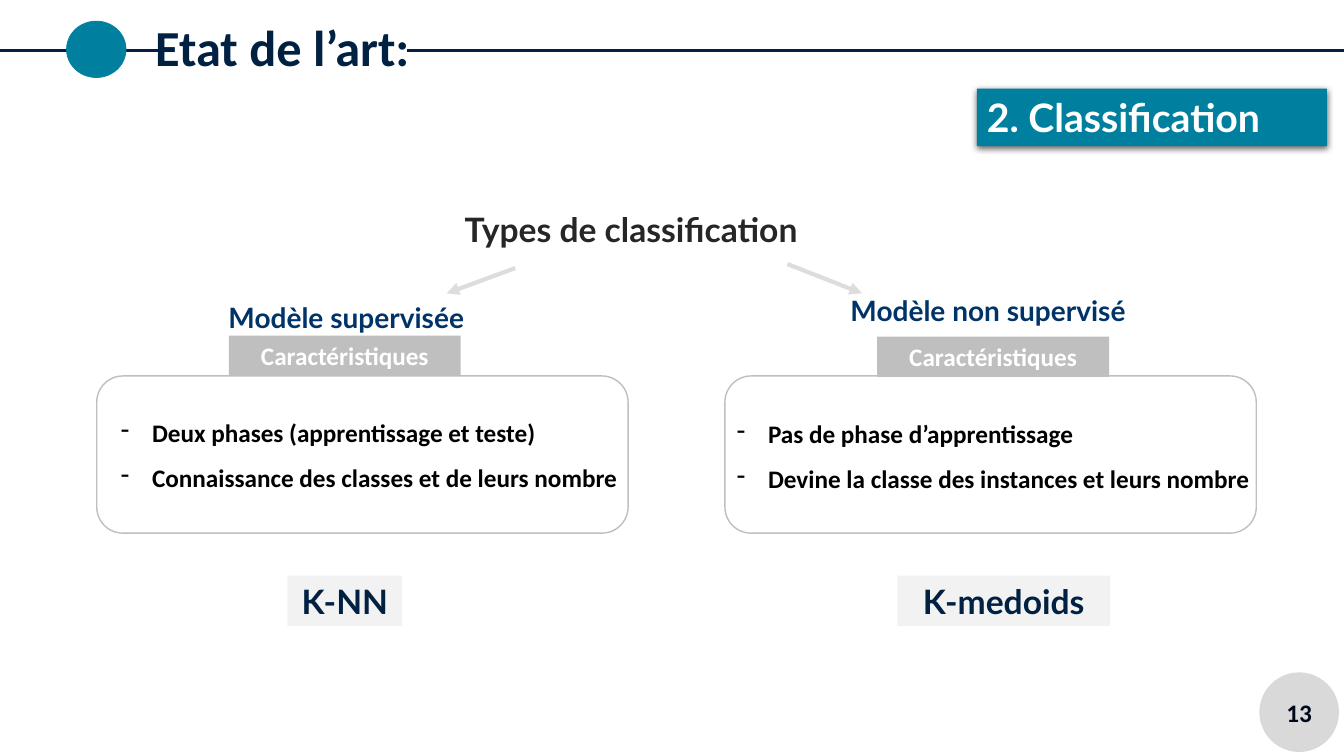
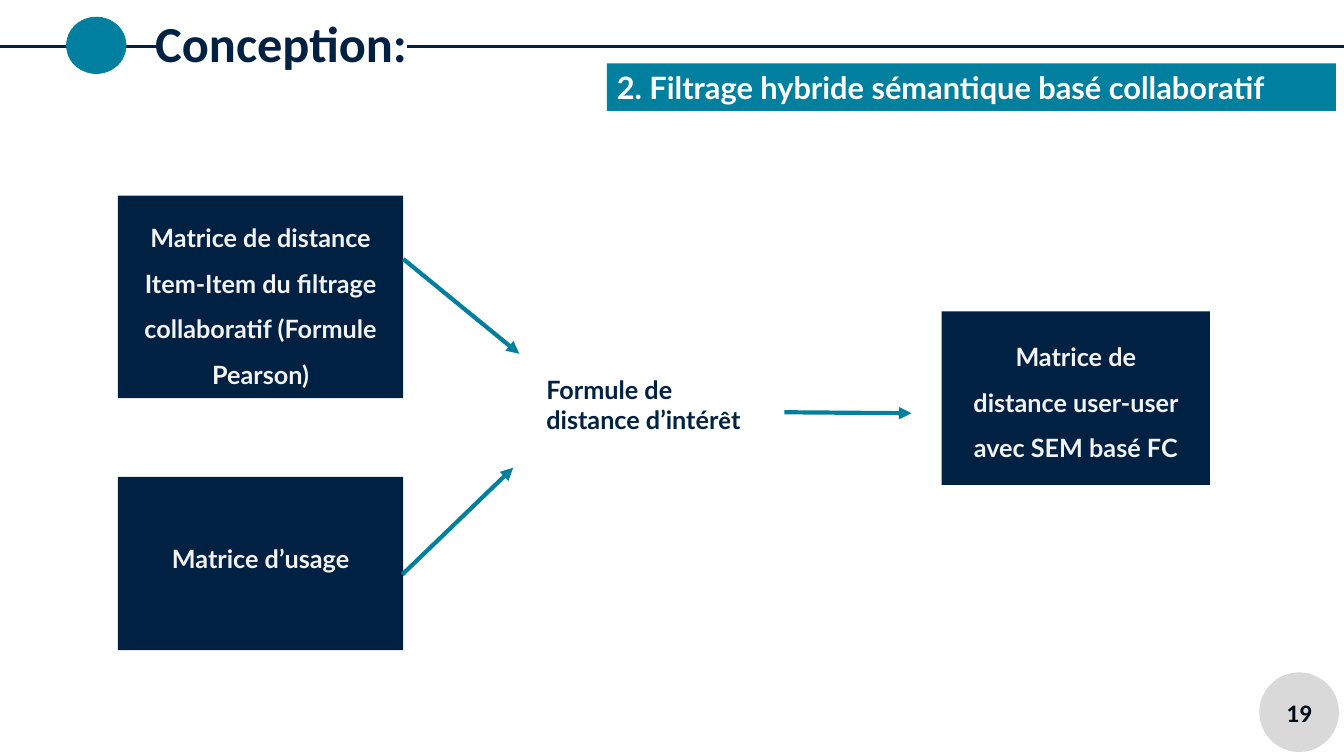
from dataclasses import dataclass

from lxml import etree
from pptx import Presentation
from pptx.dml.color import RGBColor
from pptx.enum import shapes, text
from pptx.oxml import ns
from pptx.util import Inches, Pt


@dataclass(frozen=True)
class Theme:
    navy: str = "002142"
    blue: str = "003468"
    teal: str = "00809E"
    white: str = "FFFFFF"
    pale: str = "F2F2F2"
    arrow: str = "DDDDDD"
    silver: str = "D9D9D9"
    gray: str = "BFBFBF"
    dark: str = "262626"
    ink: str = "00091A"
    black: str = "000000"
    body: str = "Calibri"
    display: str = "Lato"
    title: int = 36
    heading: int = 24
    label: int = 20
    normal: int = 18


THEME = Theme()
SHAPE = shapes.MSO_SHAPE
LEFT, CENTER = text.PP_ALIGN.LEFT, text.PP_ALIGN.CENTER
TOP, MIDDLE, BOTTOM = (text.MSO_ANCHOR.TOP, text.MSO_ANCHOR.MIDDLE,
                       text.MSO_ANCHOR.BOTTOM)

# Content: boxes are left, top, width, height in inches
CLASSIFICATION = {
    "title": "Etat de l’art:", "line_y": 0.5, "number": "13",
    "banner": "2. Classification", "banner_at": (9.69, 0.88, 3.47, 0.57),
    "banner_size": 28, "banner_shadow": True,
}
TYPES_HEADING = ("Types de classification", (4.51, 2.02, 3.8, 0.5))
MODELS = [
    {"name": "Modèle supervisée", "name_at": (1.83, 2.77, 3.21, 0.54),
     "name_spacing": 1.5, "tab_at": (2.27, 3.33), "card_left": 0.96,
     "traits": ["Deux phases (apprentissage et teste)",
                "Connaissance des classes et de leurs nombre"],
     "traits_at": (1.1, 3.94, 5.14, 1.41),
     "example": "K-NN", "example_at": (2.85, 5.71, 1.14, 0.5),
     "arrow": ((5.11, 2.66), (4.43, 2.91))},
    {"name": "Modèle non supervisé", "name_at": (7.79, 2.86, 4.02, 0.74),
     "name_spacing": 1, "tab_at": (8.7, 3.34), "card_left": 7.19,
     "traits": ["Pas de phase d’apprentissage",
                "Devine la classe des instances et leurs nombre"],
     "traits_at": (7.21, 3.95, 5.3, 1.41),
     "example": "K-medoids", "example_at": (8.9, 5.71, 2.11, 0.5),
     "arrow": ((7.81, 2.62), (8.55, 2.91))},
]

CONCEPTION = {
    "title": "Conception:", "line_y": 0.46, "number": "19",
    "banner": "2. Filtrage hybride sémantique basé collaboratif",
    "banner_at": (6.02, 0.63, 7.23, 0.47),
    "banner_size": 22, "banner_shadow": False,
}
# Text, box, side and top padding, line spacing
MATRICES = [
    ("Matrice de distance Item-Item du filtrage collaboratif (Formule Pearson)",
     (1.17, 1.94, 2.83, 2.01), (0.1, 0.12), 1.5),
    ("Matrice d’usage", (1.17, 4.73, 2.83, 1.72), (0.24, 0.66), 1),
    ("Matrice de distance user-user avec SEM basé FC",
     (9.34, 3.09, 2.66, 1.72), (0.24, 0.15), 1.5),
]
FORMULA = [
    "Formule de",
    (("distance d’intér", THEME.display), ("ê", THEME.body),
     ("t", THEME.display)),
]
FORMULA_AT = (5.32, 3.66, 2.49, 0.71)
FLOWS = [((4, 2.57), (5.15, 3.51)), ((3.99, 5.7), (5.09, 4.64)),
         ((7.78, 4.09), (9.04, 4.1))]


def color(value):
    return RGBColor.from_string(value)


def write(box, paragraphs, size, ink, font=THEME.display, align=LEFT,
          anchor=TOP, spacing=1, pads=(0.1, 0.05), bullet=None):
    """Fill a shape with bold paragraphs, each a string or (text, font) runs."""
    frame = box.text_frame
    frame.word_wrap = True
    frame.auto_size = text.MSO_AUTO_SIZE.NONE
    frame.vertical_anchor = anchor
    side, top = pads
    frame.margin_left = frame.margin_right = Inches(side)
    frame.margin_top = Inches(top)
    frame.margin_bottom = Inches(min(top, 0.13))
    for index, content in enumerate(paragraphs):
        para = frame.add_paragraph() if index else frame.paragraphs[0]
        para.alignment = align
        para.line_spacing = spacing
        if bullet:
            properties = para._p.get_or_add_pPr()
            hang = Inches(0.31)
            properties.set("marL", str(hang))
            properties.set("indent", str(-hang))
            etree.SubElement(properties, ns.qn("a:buChar"), char=bullet)
        runs = ((content, font),) if isinstance(content, str) else content
        for words, face in runs:
            span = para.add_run()
            span.text = words
            span.font.name = face
            span.font.size = Pt(size)
            span.font.bold = True
            span.font.color.rgb = color(ink)


def add_box(page, kind, at, fill=None, line=None, width=1):
    box = page.shapes.add_shape(kind, *map(Inches, at))
    box.shadow.inherit = False
    if fill:
        box.fill.solid()
        box.fill.fore_color.rgb = color(fill)
    else:
        box.fill.background()
    if line:
        box.line.color.rgb = color(line)
        box.line.width = Pt(width)
    else:
        box.line.fill.background()
    return box


def add_text(page, at, paragraphs, size, ink, **style):
    box = page.shapes.add_textbox(*map(Inches, at))
    write(box, paragraphs, size, ink, **style)


def add_line(page, start, end, ink, width, arrow=False):
    line = page.shapes.add_connector(
        shapes.MSO_CONNECTOR.STRAIGHT, *map(Inches, start + end))
    line.line.color.rgb = color(ink)
    line.line.width = Pt(width)
    if arrow:
        etree.SubElement(line.line._get_or_add_ln(), ns.qn("a:tailEnd"),
                         type="triangle")
    etree.SubElement(line._element.spPr, ns.qn("a:effectLst"))


def cast_shadow(box):
    effects = box._element.spPr.find(ns.qn("a:effectLst"))
    shadow = etree.SubElement(
        effects, ns.qn("a:outerShdw"), blurRad=str(Pt(4.5)), dist=str(Pt(1.5)),
        dir="5400000", algn="t", rotWithShape="0")
    tint = etree.SubElement(shadow, ns.qn("a:srgbClr"), val=THEME.black)
    etree.SubElement(tint, ns.qn("a:alpha"), val="63000")


def add_page(deck, facts):
    """Add a slide with its title line, banner and page number."""
    page = deck.slides.add_slide(deck.slide_layouts[5])
    y = facts["line_y"]

    # Title on a line with a dot
    title = page.shapes.title
    title.left, title.top, title.width, title.height = map(
        Inches, (1.41, y - 0.47, 6.06, 0.87))
    write(title, [facts["title"]], THEME.title, THEME.navy, THEME.body,
          anchor=BOTTOM, spacing=0.9, pads=(0.13, 0.13))
    for start, end in ((4.04, 13.35), (-0.01, 1.57)):
        add_line(page, (start, y), (end, y), THEME.navy, 2.25)
    add_box(page, SHAPE.OVAL, (0.66, y - 0.29, 0.59, 0.56),
            THEME.teal, THEME.teal, 0.5)

    # Section banner
    banner = add_box(page, SHAPE.RECTANGLE, facts["banner_at"], THEME.teal)
    write(banner, [facts["banner"]], facts["banner_size"], THEME.white)
    if facts["banner_shadow"]:
        cast_shadow(banner)

    # Page number
    badge = add_box(page, SHAPE.OVAL, (12.49, 6.67, 0.79, 0.79), THEME.silver)
    write(badge, [facts["number"]], THEME.normal, THEME.ink, THEME.body,
          align=CENTER, anchor=MIDDLE)
    return page


def build_classification(deck):
    page = add_page(deck, CLASSIFICATION)
    heading, heading_at = TYPES_HEADING
    add_text(page, heading_at, [heading], THEME.heading, THEME.dark)
    for model in MODELS:
        add_line(page, *model["arrow"], THEME.arrow, 3, arrow=True)
        add_text(page, model["name_at"], [model["name"]], THEME.label,
                 THEME.blue, align=CENTER, spacing=model["name_spacing"])

        # Card with its tab and list
        add_box(page, SHAPE.ROUNDED_RECTANGLE,
                (model["card_left"], 3.73, 5.27, 1.56), line=THEME.gray)
        tab = add_box(page, SHAPE.RECTANGLE, model["tab_at"] + (2.3, 0.4),
                      THEME.gray)
        write(tab, ["Caractéristiques"], THEME.normal, THEME.white,
              THEME.body, align=CENTER)
        add_text(page, model["traits_at"], model["traits"], THEME.normal,
                 THEME.black, font=THEME.body, spacing=1.5, bullet="-")

        # Example algorithm
        example = add_box(page, SHAPE.RECTANGLE, model["example_at"],
                          THEME.pale)
        write(example, [model["example"]], THEME.heading, THEME.navy,
              align=CENTER)


def build_conception(deck):
    page = add_page(deck, CONCEPTION)
    for words, at, pads, spacing in MATRICES:
        matrix = add_box(page, SHAPE.RECTANGLE, at, THEME.navy)
        write(matrix, [words], THEME.normal, THEME.pale, align=CENTER,
              spacing=spacing, pads=pads)
    add_text(page, FORMULA_AT, FORMULA, THEME.normal, THEME.navy)
    for start, end in FLOWS:
        add_line(page, start, end, THEME.teal, 3, arrow=True)


def main():
    deck = Presentation()
    deck.slide_width, deck.slide_height = Inches(13.33), Inches(7.5)
    build_classification(deck)
    build_conception(deck)
    deck.save("out.pptx")


if __name__ == "__main__":
    main()
